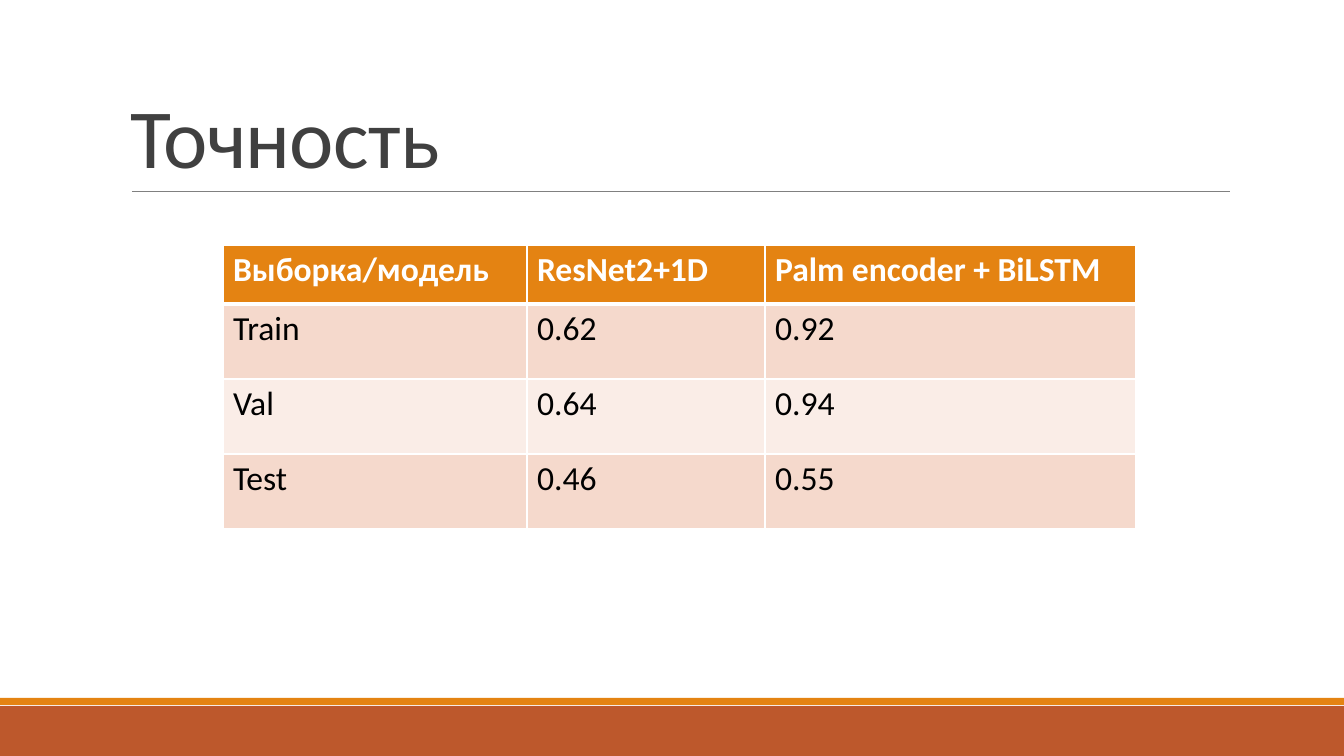
from lxml import etree
from pptx import Presentation
from pptx import util as u
from pptx.dml.color import RGBColor
from pptx.enum import shapes, text
from pptx.oxml import ns

EMU_PER_PX = 914400 / 100.8
ORANGE, RUST, WHITE = "E48312", "BD582C", "FFFFFF"
BANDS = ["F5D9CC", "FAEDE7"]
ROWS = [
    ["Выборка/модель", "ResNet2+1D", "Palm encoder + BiLSTM"],
    ["Train", "0.62", "0.92"],
    ["Val", "0.64", "0.94"],
    ["Test", "0.46", "0.55"],
]


def px(*lengths):
    return [u.Emu(round(length * EMU_PER_PX)) for length in lengths]


def color(value):
    return RGBColor.from_string(value)


class SlideBuilder:
    """Holds the style and the current slide, and draws each kind of element."""

    font = "Calibri"

    def __init__(self, presentation):
        self.slide = presentation.slides.add_slide(presentation.slide_layouts[6])

    def add_words(self, paragraph, wording, fill, **formats):
        run = paragraph.add_run()
        run.text = wording
        for name, value in {"name": self.font, **formats}.items():
            setattr(run.font, name, value)
        run.font.color.rgb = color(fill)
        return run

    def bar(self, left, top, width, height, fill):
        shape = self.slide.shapes.add_shape(
            shapes.MSO_SHAPE.RECTANGLE, *px(left, top, width, height))
        shape.shadow.inherit = False
        shape.fill.solid()
        shape.fill.fore_color.rgb = color(fill)
        shape.line.fill.background()

    def rule(self, left, right, top, stroke, points):
        connector = self.slide.shapes.add_connector(
            shapes.MSO_CONNECTOR.STRAIGHT, *px(left, top, right, top))
        connector.line.color.rgb = color(stroke)
        connector.line.width = u.Pt(points)
        properties = connector._element.spPr
        etree.SubElement(properties, ns.qn("a:effectLst"))

    def title(self, left, top, width, height, wording):
        frame = self.slide.shapes.add_textbox(*px(left, top, width, height)).text_frame
        for name, value in {"word_wrap": True,
                            "vertical_anchor": text.MSO_ANCHOR.BOTTOM}.items():
            setattr(frame, name, value)
        paragraph = frame.paragraphs[0]
        paragraph.line_spacing = 0.85
        run = self.add_words(paragraph, wording, "404040", size=u.Pt(60))
        run._r.get_or_add_rPr().set("spc", "-50")

    def border(self, cell, side, points):
        line = etree.SubElement(cell._tc.get_or_add_tcPr(), ns.qn(f"a:ln{side}"),
                                w=str(u.Pt(points)))
        fill = etree.SubElement(line, ns.qn("a:solidFill"))
        etree.SubElement(fill, ns.qn("a:srgbClr"), val=WHITE)

    def table(self, left, top, widths, heights, rows):
        table = self.slide.shapes.add_table(
            len(rows), len(widths),
            *px(left, top, sum(widths), sum(heights))).table
        for column, width in zip(table.columns, px(*widths)):
            column.width = width
        for index, (row, height) in enumerate(zip(table.rows, px(*heights))):
            row.height = height
            header = index == 0
            for cell, wording in zip(row.cells, rows[index]):
                for side in "LRTB":
                    thick = (index, side) in [(0, "B"), (1, "T")]
                    self.border(cell, side, 3 if thick else 1)
                cell.fill.solid()
                cell.fill.fore_color.rgb = color(
                    ORANGE if header else BANDS[(index - 1) % 2])
                self.add_words(cell.text_frame.paragraphs[0], wording,
                               WHITE if header else "000000",
                               size=u.Pt(24), bold=header)


def main():
    presentation = Presentation()
    presentation.slide_width, presentation.slide_height = px(1344, 756)
    builder = SlideBuilder(presentation)
    builder.bar(0, 706, 1344, 50, RUST)
    builder.bar(0, 698, 1344, 7, ORANGE)
    builder.rule(132, 1230, 191, "808080", 0.5)
    builder.title(121, 31, 1109, 160, "Точность")
    builder.table(223, 245, [304, 238, 371], [59, 75, 75, 75], ROWS)
    presentation.save("out.pptx")


if __name__ == "__main__":
    main()
